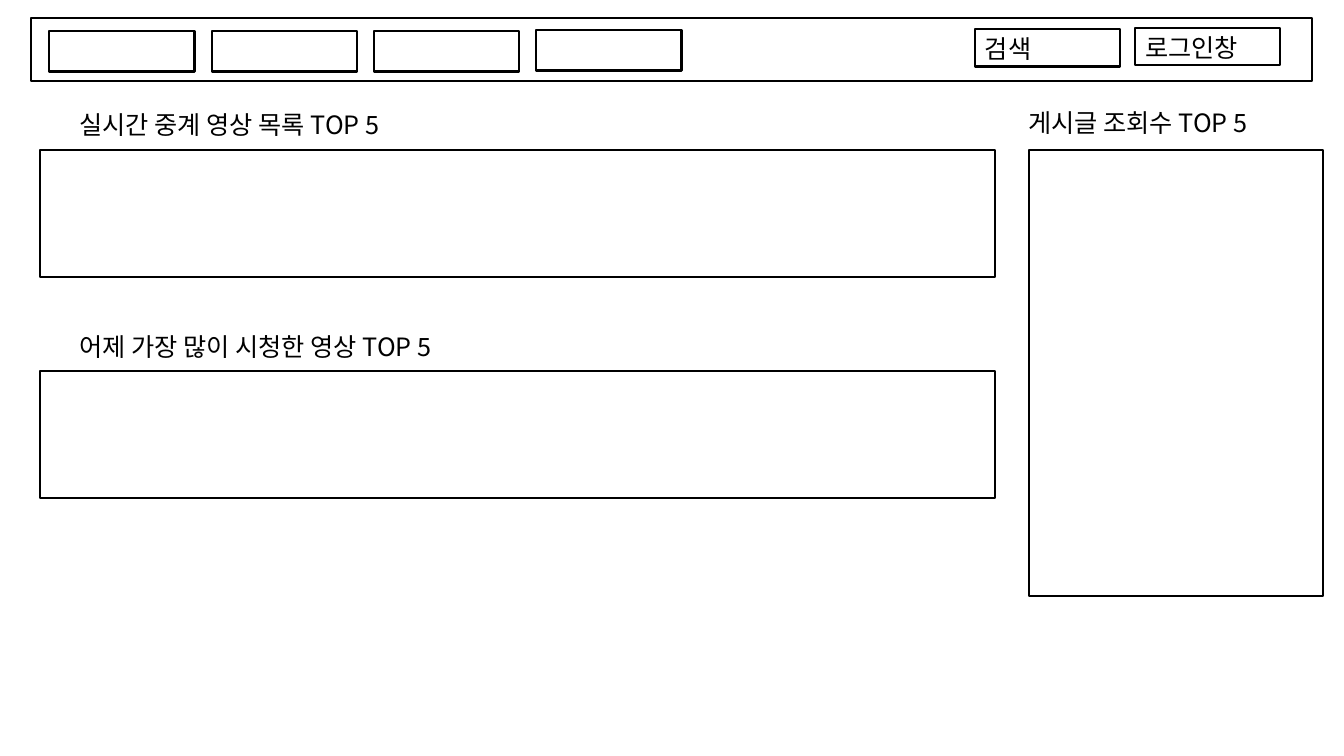
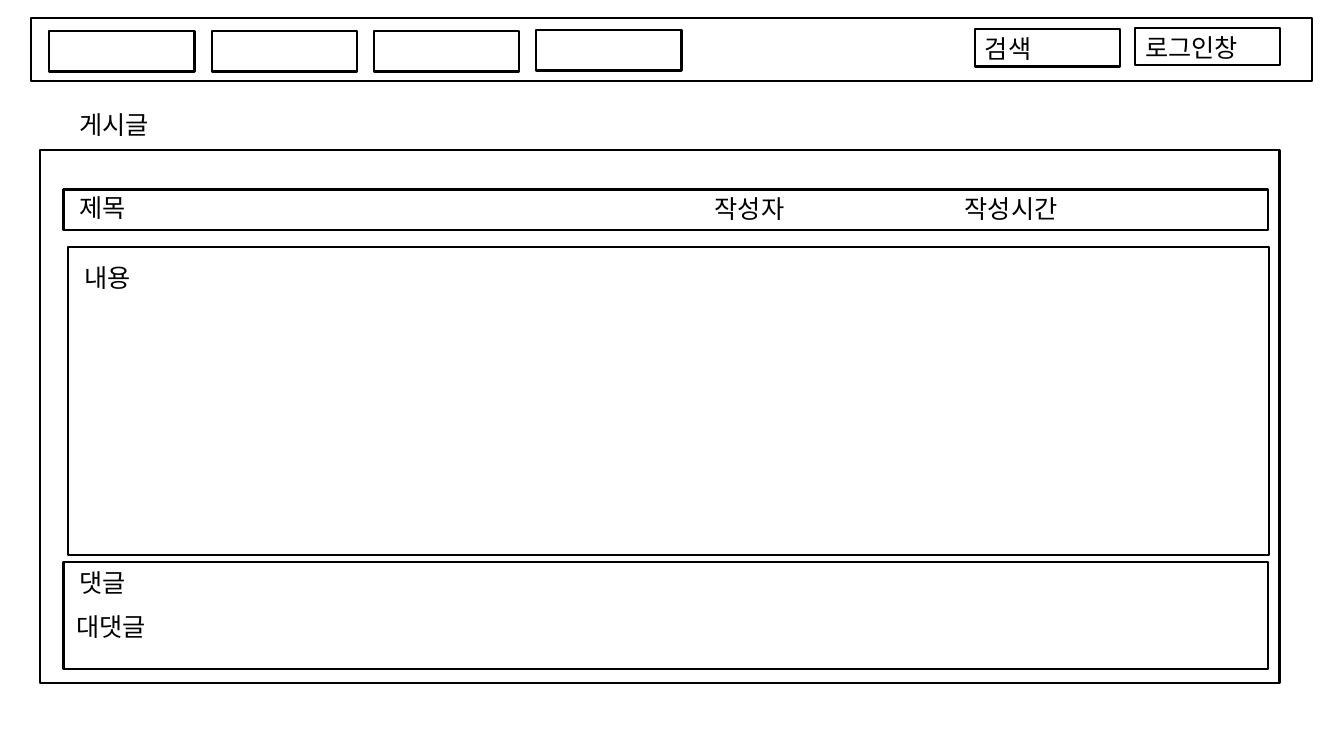
"""Build two wireframe slides: the home page and the post page of a video site."""
from lxml import etree
from pptx import Presentation
from pptx.dml.color import RGBColor
from pptx.enum.shapes import MSO_SHAPE
from pptx.enum.text import MSO_AUTO_SIZE
from pptx.oxml.ns import qn
from pptx.util import Inches, Pt

RECTANGLE = MSO_SHAPE.RECTANGLE
FIT_TEXT = MSO_AUTO_SIZE.SHAPE_TO_FIT_TEXT
FONT = "Noto Sans CJK KR"
INK = "000000"
LABEL_HEIGHT = 0.4
HEADING_LEFT, HEADING_WIDTH = 0.69, 7.39
PANEL_LEFT, PANEL_TOP = 0.4, 1.49
BUTTON_WIDTH = 1.44


def add_box(slide, left, top, width, height):
    shape = slide.shapes.add_shape(
        RECTANGLE, Inches(left), Inches(top), Inches(width), Inches(height))
    shape.shadow.inherit = False
    shape.fill.background()
    shape.line.color.rgb = RGBColor.from_string(INK)
    shape.line.width = Pt(1.5)


def add_label(slide, text, left, top, width, wrap=True):
    shape = slide.shapes.add_textbox(
        Inches(left), Inches(top), Inches(width), Inches(LABEL_HEIGHT))
    text_frame = shape.text_frame
    text_frame.text = text
    text_frame.word_wrap = wrap
    text_frame.auto_size = FIT_TEXT
    font = text_frame.paragraphs[0].runs[0].font
    font.size = Pt(18)
    font.color.rgb = RGBColor.from_string(INK)
    font.name = FONT
    properties = text_frame.paragraphs[0].runs[0]._r.get_or_add_rPr()
    etree.SubElement(properties, qn("a:ea")).set("typeface", FONT)


presentation = Presentation()
presentation.slide_width = Inches(13.33)
presentation.slide_height = Inches(7.5)
blank_layout = presentation.slide_layouts[6]
home = presentation.slides.add_slide(blank_layout)
post = presentation.slides.add_slide(blank_layout)

for slide in (home, post):
    add_box(slide, 0.31, 0.18, 12.7, 0.62)
    for column, top in enumerate((0.31, 0.31, 0.31, 0.3)):
        add_box(slide, 0.49 + 1.61 * column, top, BUTTON_WIDTH, 0.4)
    for text, left, top in (("검색", 9.67, 0.29), ("로그인창", 11.26, 0.28)):
        add_box(slide, left, top, BUTTON_WIDTH, 0.37)
        add_label(slide, text, left, top - 0.01, 1.33)

for text, label_top, panel_top in (
        ("실시간 중계 영상 목록 TOP 5", 1.04, PANEL_TOP),
        ("어제 가장 많이 시청한 영상 TOP 5", 3.24, 3.68)):
    add_label(home, text, HEADING_LEFT, label_top, HEADING_WIDTH)
    add_box(home, PANEL_LEFT, panel_top, 9.47, 1.26)
add_label(home, "게시글 조회수 TOP 5", 10.1, 1.02, 3.02)
add_box(home, 10.21, PANEL_TOP, 2.91, 4.42)

add_label(post, "게시글", HEADING_LEFT, 1.04, HEADING_WIDTH)
add_box(post, PANEL_LEFT, PANEL_TOP, 12.29, 5.29)
for left, top, width, height in (
        (0.63, 1.88, 11.95, 0.4),
        (0.67, 2.45, 11.92, 3.06),
        (0.63, 5.58, 11.95, 1.06)):
    add_box(post, left, top, width, height)
for text, left, top, width in (
        ("제목", 0.69, 1.86, 0.71),
        ("작성자", 6.99, 1.87, 0.96),
        ("작성시간", 9.47, 1.87, 1.21),
        ("내용", 0.74, 2.55, 0.71),
        ("댓글", 0.69, 5.58, 0.71),
        ("대댓글", 0.66, 6.02, 0.96)):
    add_label(post, text, left, top, width, wrap=False)

presentation.save("out.pptx")
